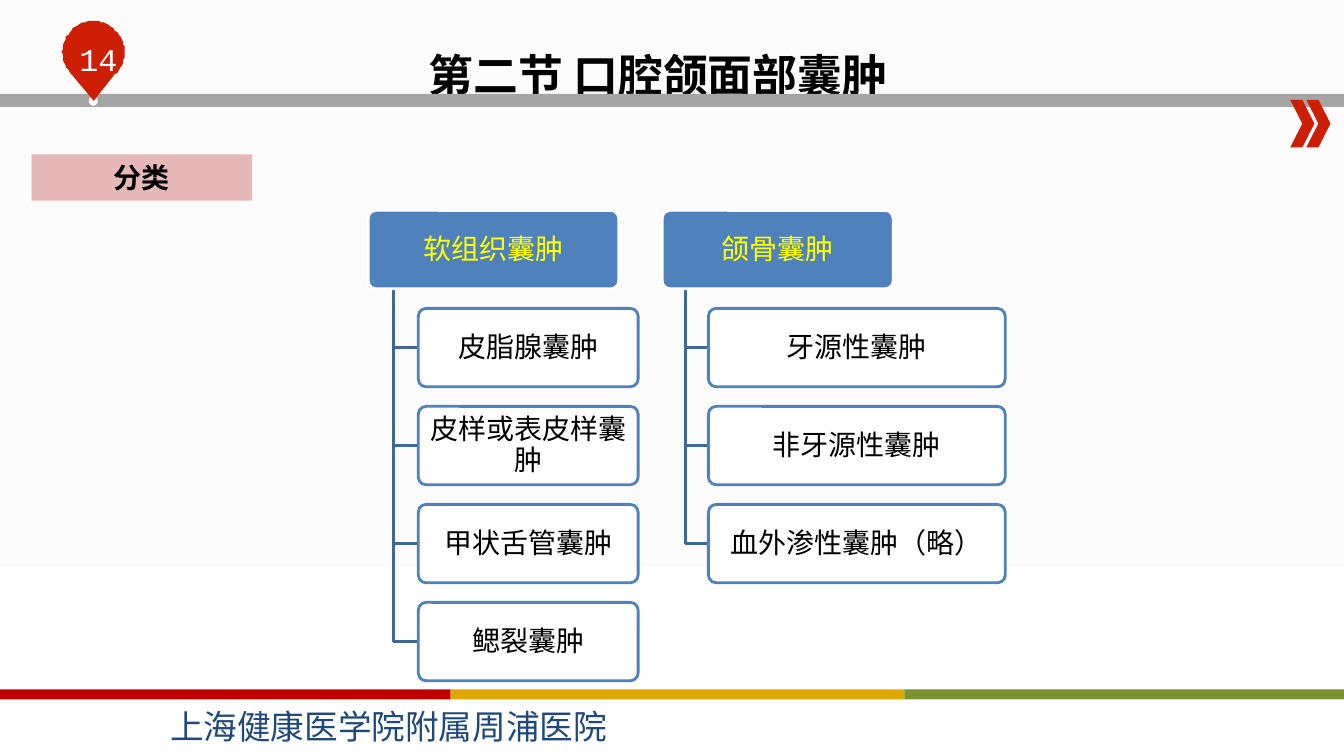
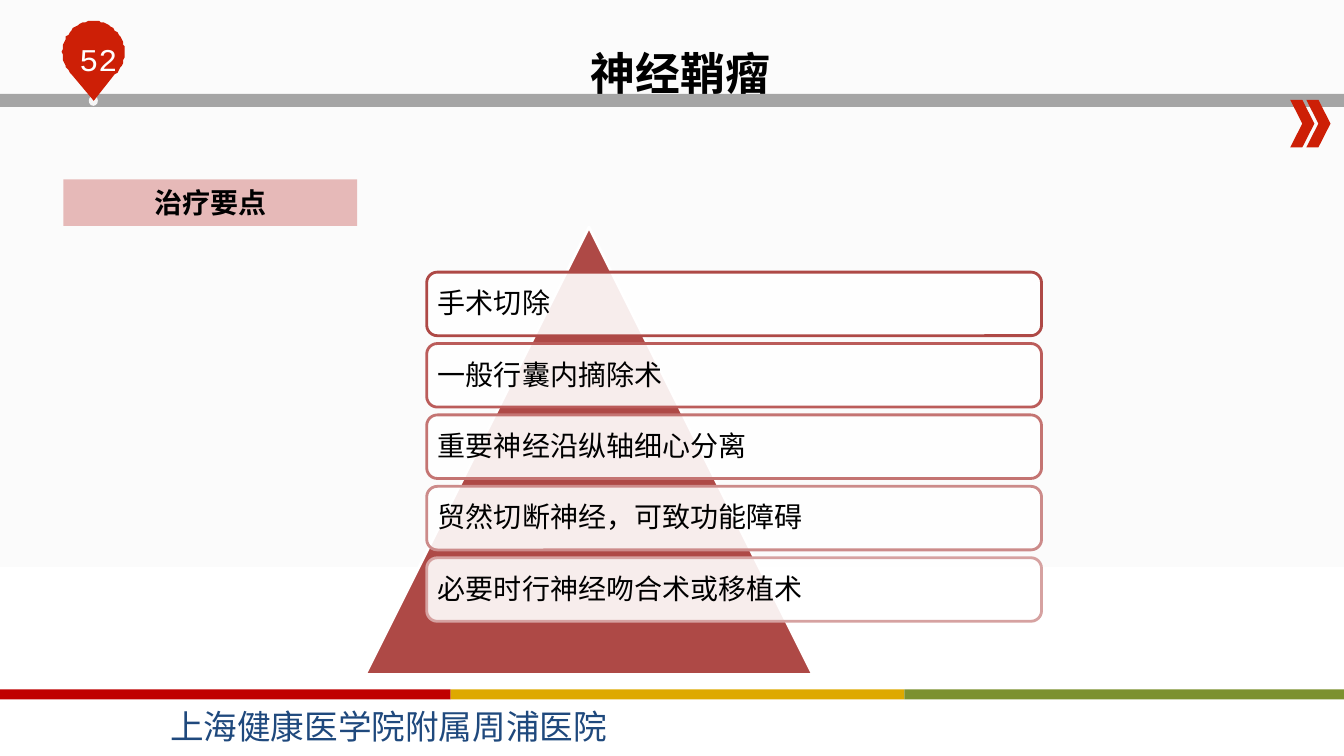
from math import cos, radians, sin

from lxml.etree import SubElement
from pptx import Presentation
from pptx.dml.color import RGBColor
from pptx.enum.shapes import MSO_CONNECTOR, MSO_SHAPE
from pptx.enum.text import MSO_ANCHOR as Anchor, MSO_AUTO_SIZE, PP_ALIGN as Align
from pptx.oxml.ns import qn
from pptx.util import Pt

BLACK = RGBColor(0x00, 0x00, 0x00)
WHITE = RGBColor(0xFF, 0xFF, 0xFF)
PALE_GREY = RGBColor(0xFB, 0xFB, 0xFB)
DOT_GREY = RGBColor(0xF6, 0xF6, 0xF6)
BAR_GREY = RGBColor(0xA5, 0xA5, 0xA5)
PIN_RED = RGBColor(0xCD, 0x1F, 0x06)
NAVY = RGBColor(0x1F, 0x49, 0x7D)
PINK = RGBColor(0xE6, 0xB9, 0xB8)
BLUE = RGBColor(0x4F, 0x81, 0xBD)
BRANCH_BLUE = RGBColor(0x3F, 0x67, 0x97)
YELLOW = RGBColor(0xFF, 0xFF, 0x00)
BRICK = RGBColor(0xAE, 0x49, 0x46)
BAND_COLOURS = [RGBColor(0xC0, 0x00, 0x00), RGBColor(0xDE, 0xA9, 0x00),
                RGBColor(0x7C, 0x91, 0x2F)]
ITEM_COLOURS = [BRICK, RGBColor(0xBB, 0x5C, 0x5A), RGBColor(0xC4, 0x74, 0x72),
                RGBColor(0xCC, 0x8B, 0x8A), RGBColor(0xD6, 0xA2, 0xA1)]

SERIF, CJK, MONO = "Times New Roman", "Noto Sans CJK SC", "Courier New"
SLIDE_W, SLIDE_H = 960, 540
BODY_LEADING = Pt(22)
NODE_H, NODE_PITCH = 56, 70


def style(shape, fill=None, line=None, alpha=None):
    """Set fill and outline; alpha is the opacity of the fill in percent."""
    shape.shadow.inherit = False
    if fill is None:
        shape.fill.background()
    else:
        shape.fill.solid()
        shape.fill.fore_color.rgb = fill
    if alpha is not None:
        colour = shape._element.spPr.find(qn("a:solidFill"))[0]
        SubElement(colour, qn("a:alpha"), val=str(alpha * 1000))
    if line is None:
        shape.line.fill.background()
    else:
        shape.line.color.rgb = line
        shape.line.width = Pt(2)


def add_block(slide, preset, box, **look):
    shape = slide.shapes.add_shape(preset, *map(Pt, box))
    style(shape, **look)
    return shape


def write(shape, text, size=20, colour=BLACK, font=SERIF, bold=False,
          align=Align.CENTER, anchor=Anchor.MIDDLE, inset=5, leading=None):
    frame = shape.text_frame
    frame.word_wrap = True
    frame.auto_size = MSO_AUTO_SIZE.NONE
    frame.vertical_anchor = anchor
    frame.margin_left = frame.margin_right = Pt(inset)
    frame.margin_top = frame.margin_bottom = 0
    paragraph = frame.paragraphs[0]
    paragraph.alignment = align
    paragraph.line_spacing = leading
    run = paragraph.add_run()
    run.text = text
    run.font.name = font
    run.font.size = Pt(size)
    run.font.bold = bold
    run.font.color.rgb = colour
    SubElement(run.font._element, qn("a:ea"), typeface=CJK)


def add_caption(slide, box, text, **text_style):
    write(slide.shapes.add_textbox(*map(Pt, box)), text, **text_style)


def add_line(slide, *ends):
    line = slide.shapes.add_connector(MSO_CONNECTOR.STRAIGHT, *map(Pt, ends))
    line.line.color.rgb = BRANCH_BLUE
    line.line.width = Pt(2)
    SubElement(line._element.spPr, qn("a:effectLst"))


def add_page_pin(slide, number):
    centre_x, centre_y, radius, tip_y = 66.7, 37.3, 22.2, 71.5
    add_block(slide, MSO_SHAPE.OVAL, (63.4, 68.4, 6.5, 7.2), fill=DOT_GREY)
    rim = [(centre_x + radius * cos(radians(a)), centre_y + radius * sin(radians(a)))
           for a in range(135, 406, 5)]
    outline = slide.shapes.build_freeform(centre_x, tip_y, scale=Pt(1))
    outline.add_line_segments(rim, close=True)
    style(outline.convert_to_shape(), fill=PIN_RED)
    add_caption(slide, (39, 28, 62.6, 28.8), number, size=22.6, colour=WHITE, font=MONO)


def add_page(deck, title, title_box, number):
    """Add a slide with its title and the shared bars, pin and footer."""
    slide = deck.slides.add_slide(deck.slide_layouts[5])
    backdrop = slide.background.fill
    backdrop.gradient()
    backdrop.gradient_angle = 270
    for stop, position, colour in zip(backdrop.gradient_stops, (0.5, 1), (PALE_GREY, WHITE)):
        stop.position = position
        stop.color.rgb = colour

    add_block(slide, MSO_SHAPE.RECTANGLE, (0, 67, SLIDE_W, 9.4), fill=BAR_GREY)
    for left in (921.6, 933.1):
        add_block(slide, MSO_SHAPE.CHEVRON, (left, 71.3, 17.3, 34), fill=PIN_RED)
    add_page_pin(slide, number)
    edges = [0, 322, 646, SLIDE_W]
    for left, right, colour in zip(edges, edges[1:], BAND_COLOURS):
        add_block(slide, MSO_SHAPE.RECTANGLE, (left, 492.5, right - left, 7.2), fill=colour)
    add_caption(slide, (114.5, 500.4, 340, 36), "上海健康医学院附属周浦医院", size=24,
                colour=NAVY, font=CJK, align=Align.LEFT, inset=7.2)

    heading = slide.shapes.title
    heading.left, heading.top, heading.width, heading.height = map(Pt, title_box)
    write(heading, title, size=32, bold=True, anchor=Anchor.BOTTOM, inset=0)
    return slide


def add_section_label(slide, box, text):
    write(add_block(slide, MSO_SHAPE.RECTANGLE, box, fill=PINK), text, bold=True)


def add_node(slide, box, text, colour, **look):
    node = add_block(slide, MSO_SHAPE.ROUNDED_RECTANGLE, box, **look)
    node.adjustments[0] = 0.1
    write(node, text, colour=colour, leading=BODY_LEADING)


def add_branch(slide, left, parent_width, child_width, parent, children):
    """Draw a parent node with its children hanging from a trunk line."""
    top = 150.3
    trunk_x, child_x = left + 0.1 * parent_width, left + 0.2 * parent_width
    centres = [top + NODE_PITCH * row + NODE_H / 2 for row in range(1, len(children) + 1)]
    add_line(slide, trunk_x, top + NODE_H, trunk_x, centres[-1])
    add_node(slide, (left, top, parent_width, NODE_H), parent, YELLOW, fill=BLUE, line=WHITE)
    for centre, child in zip(centres, children):
        add_line(slide, trunk_x, centre, child_x, centre)
        add_node(slide, (child_x, centre - NODE_H / 2, child_width, NODE_H), child, BLACK,
                 fill=WHITE, line=BLUE, alpha=90)


def add_pyramid_list(slide, items):
    add_block(slide, MSO_SHAPE.ISOSCELES_TRIANGLE, (260.9, 162.2, 319.7, 319.7),
              fill=BRICK, line=WHITE)
    for row, (item, colour) in enumerate(zip(items, ITEM_COLOURS)):
        bar = add_block(slide, MSO_SHAPE.ROUNDED_RECTANGLE, (304.8, 194.4 + 51 * row, 439.2, 45.4),
                        fill=WHITE, line=colour, alpha=90)
        write(bar, item, align=Align.LEFT, inset=5.8, leading=BODY_LEADING)


def main():
    deck = Presentation()
    deck.slide_width, deck.slide_height = Pt(SLIDE_W), Pt(SLIDE_H)

    cysts = add_page(deck, "第二节 口腔颌面部囊肿", (298.8, 7.2, 342.7, 65.5), "14")
    add_branch(cysts, 263, 179, 157, "软组织囊肿",
               ["皮脂腺囊肿", "皮样或表皮样囊肿", "甲状舌管囊肿", "鳃裂囊肿"])
    add_branch(cysts, 473, 165, 212, "颌骨囊肿",
               ["牙源性囊肿", "非牙源性囊肿", "血外渗性囊肿（略）"])
    add_section_label(cysts, (22.5, 110.2, 157.7, 33.1), "分类")

    schwannoma = add_page(deck, "神经鞘瘤", (414, 5.5, 144, 65.5), "52")
    add_section_label(schwannoma, (45.2, 128.2, 210, 33.1), "治疗要点")
    add_pyramid_list(schwannoma, ["手术切除", "一般行囊内摘除术", "重要神经沿纵轴细心分离",
                                  "贸然切断神经，可致功能障碍", "必要时行神经吻合术或移植术"])

    deck.save("out.pptx")


if __name__ == "__main__":
    main()
